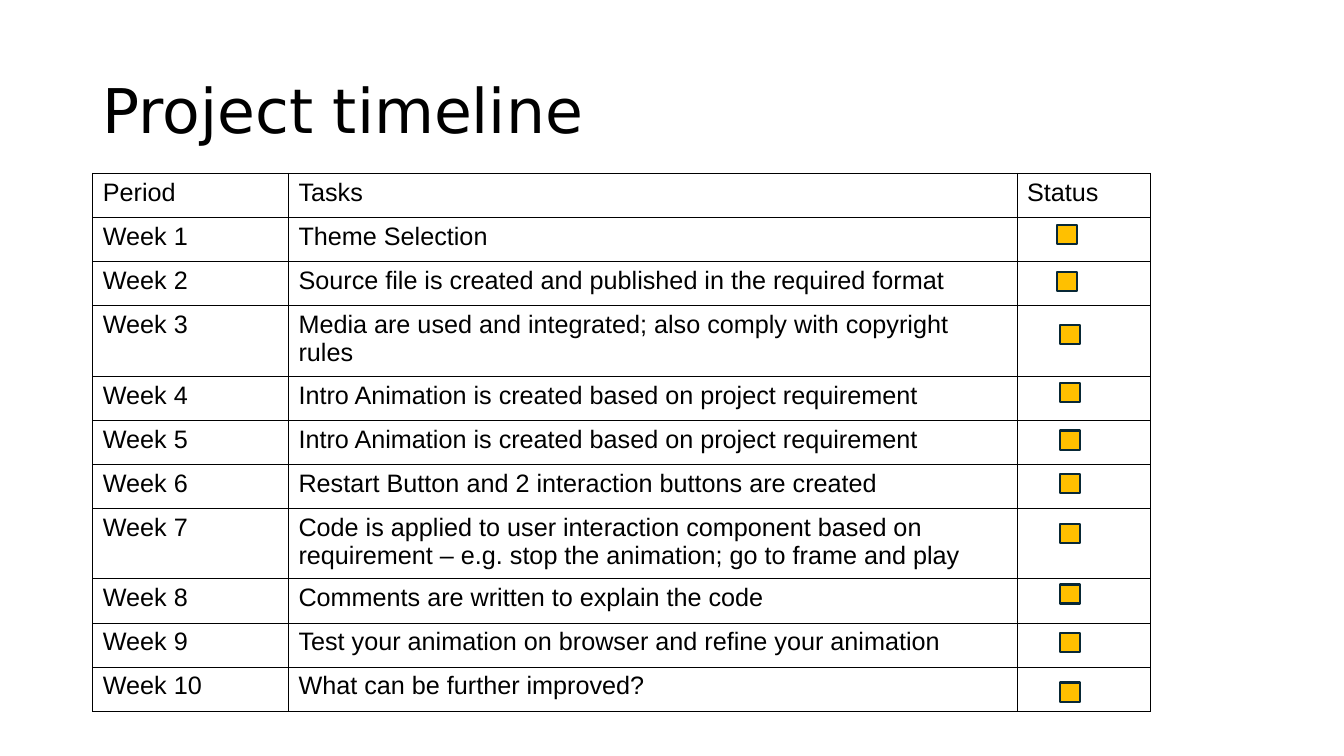
from dataclasses import dataclass

from lxml import etree
from pptx import Presentation
from pptx.dml.color import RGBColor
from pptx.enum.shapes import MSO_SHAPE
from pptx.enum.text import MSO_ANCHOR
from pptx.oxml.ns import qn
from pptx.slide import Slide
from pptx.table import _Cell
from pptx.text.text import TextFrame
from pptx.util import Cm, Pt

MIDDLE = MSO_ANCHOR.MIDDLE
TOP = MSO_ANCHOR.TOP
RECTANGLE = MSO_SHAPE.RECTANGLE


@dataclass(frozen=True)
class Theme:
    ink: str = "000000"
    marker_fill: str = "FFC000"
    marker_line: str = "082836"
    title_font: str = "DejaVu Sans"
    body_font: str = "Arial"
    title_size: float = 44
    body_size: float = 18
    border_width: float = 0.75
    marker_line_width: float = 1.5


@dataclass(frozen=True)
class Week:
    task: str
    marker_top: float
    marker_left: float = 26.72


THEME = Theme()
HEADINGS = ("Period", "Tasks", "Status")
COLUMN_WIDTHS = (4.93, 18.36, 3.35)
ROW_HEIGHT = 1.11
WEEKS = (
    Week("Theme Selection", 5.66, 26.64),
    Week("Source file is created and published in the required format", 6.86, 26.64),
    Week("Media are used and integrated; also comply with copyright rules", 8.18),
    Week("Intro Animation is created based on project requirement", 9.65),
    Week("Intro Animation is created based on project requirement", 10.85),
    Week("Restart Button and 2 interaction buttons are created", 11.94),
    Week("Code is applied to user interaction component based on requirement "
         "– e.g. stop the animation; go to frame and play", 13.21),
    Week("Comments are written to explain the code", 14.73),
    Week("Test your animation on browser and refine your animation", 15.95),
    Week("What can be further improved?", 17.2),
)


def write_text(frame: TextFrame, text: str, *, font: str = THEME.body_font,
               size: float = THEME.body_size, color: str = THEME.ink,
               anchor: MSO_ANCHOR = TOP, line_spacing: float = 1.0) -> None:
    frame.word_wrap = True
    frame.vertical_anchor = anchor
    paragraph = frame.paragraphs[0]
    paragraph.line_spacing = line_spacing
    run = paragraph.add_run()
    run.text = text
    run.font.name = font
    run.font.size = Pt(size)
    run.font.color.rgb = RGBColor.from_string(color)


def outline_cell(cell: _Cell) -> None:
    properties = cell._tc.get_or_add_tcPr()
    for side in ("a:lnL", "a:lnR", "a:lnT", "a:lnB"):
        border = etree.SubElement(properties, qn(side), w=str(Pt(THEME.border_width)))
        fill = etree.SubElement(border, qn("a:solidFill"))
        etree.SubElement(fill, qn("a:srgbClr"), val=THEME.ink)
    cell.fill.background()


def add_title(slide: Slide) -> None:
    title = slide.shapes.add_textbox(Cm(2.34), Cm(1.02), Cm(29.21), Cm(3.68))
    write_text(title.text_frame, "Project timeline", font=THEME.title_font,
               size=THEME.title_size, anchor=MIDDLE, line_spacing=0.9)


def add_timeline(slide: Slide) -> None:
    rows = [HEADINGS] + [(f"Week {number}", week.task, "")
                         for number, week in enumerate(WEEKS, 1)]
    timeline = slide.shapes.add_table(
        len(rows), len(HEADINGS), Cm(2.34), Cm(4.37),
        Cm(sum(COLUMN_WIDTHS)), Cm(ROW_HEIGHT * len(rows))).table
    timeline.first_row = False
    timeline.horz_banding = False
    for column, width in zip(timeline.columns, COLUMN_WIDTHS):
        column.width = Cm(width)
    for row, entries in zip(timeline.rows, rows):
        row.height = Cm(ROW_HEIGHT)
        for cell, entry in zip(row.cells, entries):
            outline_cell(cell)
            if entry:
                write_text(cell.text_frame, entry)


def add_status_marker(slide: Slide, week: Week) -> None:
    marker = slide.shapes.add_shape(
        RECTANGLE, Cm(week.marker_left), Cm(week.marker_top), Cm(0.51), Cm(0.48))
    marker.shadow.inherit = False
    marker.fill.solid()
    marker.fill.fore_color.rgb = RGBColor.from_string(THEME.marker_fill)
    marker.line.color.rgb = RGBColor.from_string(THEME.marker_line)
    marker.line.width = Pt(THEME.marker_line_width)


def main() -> None:
    presentation = Presentation()
    presentation.slide_width = Cm(33.87)
    presentation.slide_height = Cm(19.05)
    slide = presentation.slides.add_slide(presentation.slide_layouts[6])
    add_title(slide)
    add_timeline(slide)
    for week in WEEKS:
        add_status_marker(slide, week)
    presentation.save("out.pptx")


if __name__ == "__main__":
    main()
